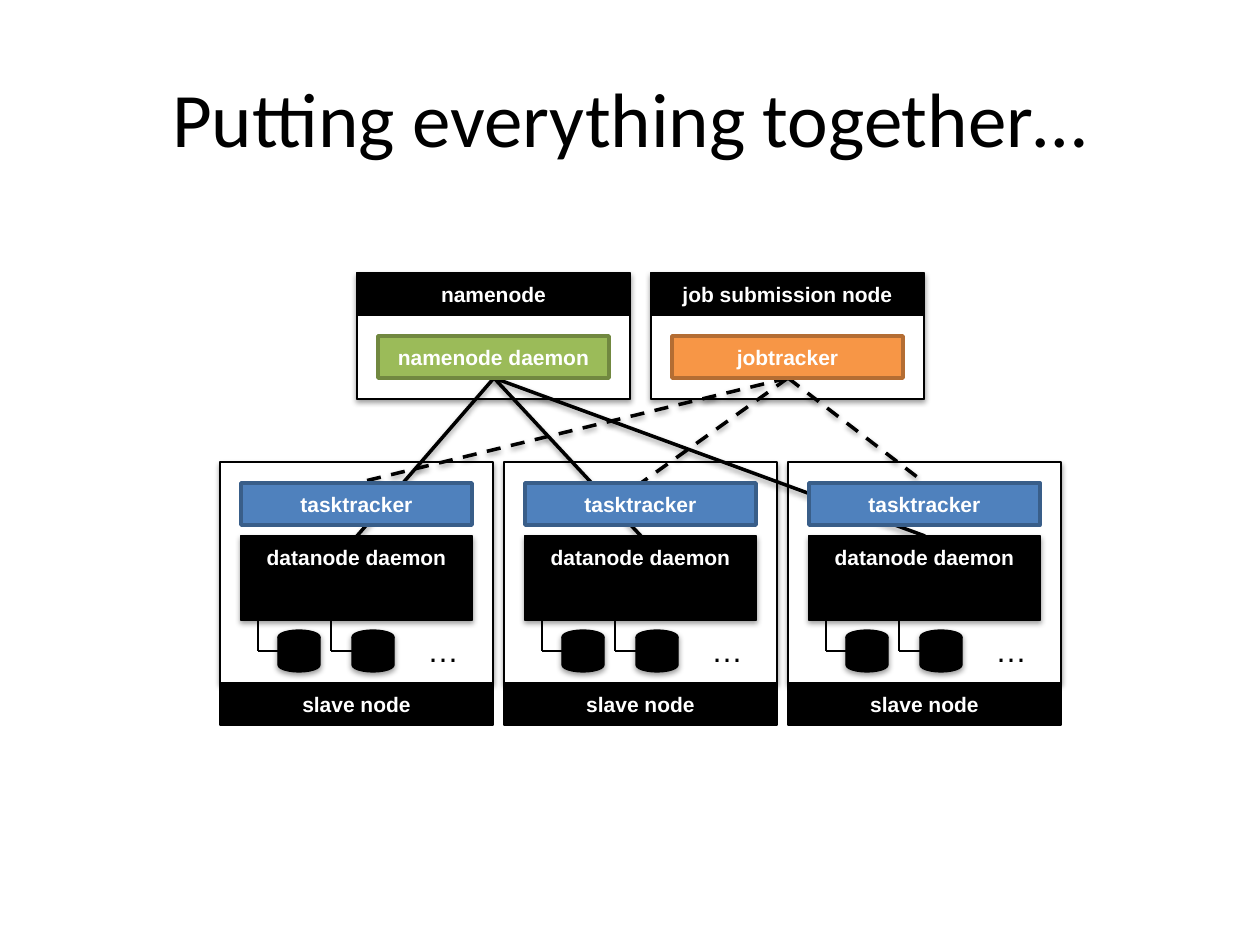
from lxml import etree
from pptx import Presentation
from pptx import util as u
from pptx.dml import color
from pptx.enum import dml, shapes, text
from pptx.oxml import ns

PIXEL = 914400 / 126
COLORS = {
    "black": "000000", "white": "FFFFFF",
    "green": "9BBB59", "green edge": "718840",
    "orange": "F79646", "orange edge": "B46D33",
    "blue": "4F81BD", "blue edge": "395E89",
}
RECT = shapes.MSO_SHAPE.RECTANGLE
DISK = shapes.MSO_SHAPE.FLOWCHART_MAGNETIC_DISK

presentation = Presentation()
presentation.slide_width, presentation.slide_height = u.Inches(10), u.Inches(7.5)
slide = presentation.slides.add_slide(presentation.slide_layouts[6])


def finish(shape, edge="black", weight=0.75, shadow=False):
    """Set the outline, then an empty effect list or a soft drop shadow."""
    shape.line.color.rgb = color.RGBColor.from_string(COLORS[edge])
    shape.line.width = u.Pt(weight)
    properties = shape._element.spPr
    effects = etree.SubElement(properties, ns.qn("a:effectLst"))
    if shadow:
        outer = etree.SubElement(effects, ns.qn("a:outerShdw"), blurRad="40000",
                                 dist="20000", dir="5400000", rotWithShape="0")
        tint = etree.SubElement(outer, ns.qn("a:srgbClr"), val=COLORS["black"])
        etree.SubElement(tint, ns.qn("a:alpha"), val="38000")


def add_box(left, top, width, height, fill=None, label="", kind=RECT, **outline):
    box = [round(value * PIXEL) for value in (left, top, width, height)]
    shape = slide.shapes.add_shape(kind, *box)
    if fill:
        shape.fill.solid()
        shape.fill.fore_color.rgb = color.RGBColor.from_string(COLORS[fill])
    else:
        shape.fill.background()
    finish(shape, **outline)
    if label:
        frame = shape.text_frame
        frame.word_wrap = True
        frame.vertical_anchor = text.MSO_ANCHOR.MIDDLE
        paragraph = frame.paragraphs[0]
        paragraph.alignment = text.PP_ALIGN.CENTER
        run = paragraph.add_run()
        run.text = label
        run.font.name, run.font.size, run.font.bold = "Arial", u.Pt(12), True
        run.font.color.rgb = color.RGBColor.from_string(COLORS["white"])


# Grid
NODE_WIDTH, INNER_WIDTH, MARGIN, BAR = 273, 231, 21, 42
MASTER_TOP, SLAVE_TOP = 273, 462
TASK_TOP, DATA_TOP, DATA_BOTTOM, DISK_TOP, FOOT_TOP = 483, 536, 620, 630, 683
slave_lefts = [220 + 284 * index for index in range(3)]
masters = [
    (357, "namenode", "namenode daemon", "green"),
    (651, "job submission node", "jobtracker", "orange"),
]

# Node backgrounds
for left, *_ in masters:
    add_box(left, MASTER_TOP, NODE_WIDTH, 3 * BAR, "white", shadow=True)
for left in slave_lefts:
    add_box(left, SLAVE_TOP, NODE_WIDTH, FOOT_TOP - SLAVE_TOP, "white", shadow=True)

# Links from each master daemon to every slave, then the wires to the disks
links = []
for (master_left, *_), end_top, dash in zip(
        masters, (DATA_TOP, TASK_TOP), (None, dml.MSO_LINE.DASH)):
    for left in slave_lefts:
        links.append((master_left + 137, 378, left + 137, end_top, 2, dash))
for left in slave_lefts:
    for wire, disk in ((38, 58), (111, 132)):
        links.append((left + wire, DATA_BOTTOM, left + wire, 651, 0.75, None))
        links.append((left + wire, 651, left + disk, 651, 0.75, None))
for *ends, weight, dash in links:
    points = [round(value * PIXEL) for value in ends]
    line = slide.shapes.add_connector(shapes.MSO_CONNECTOR.STRAIGHT, *points)
    if dash:
        line.line.dash_style = dash
    finish(line, weight=weight, shadow=weight == 2)

# Slave nodes
for left in slave_lefts:
    inner = left + MARGIN
    add_box(inner, DATA_TOP, INNER_WIDTH, 2 * BAR, "black", shadow=True)
    add_box(inner, DATA_TOP, INNER_WIDTH, BAR, "black", "datanode daemon")
    add_box(inner, DATA_TOP + BAR, INNER_WIDTH, BAR)
    for disk in (58, 132):
        add_box(left + disk, DISK_TOP, BAR, BAR, "black", kind=DISK, shadow=True)
    add_box(inner, TASK_TOP, INNER_WIDTH, BAR, "blue", "tasktracker",
            edge="blue edge", weight=2)
    add_box(left, FOOT_TOP, NODE_WIDTH, BAR, "black", "slave node")

# Master nodes
for left, name, daemon, fill in masters:
    add_box(left, MASTER_TOP, NODE_WIDTH, BAR, "black", name)
    add_box(left, MASTER_TOP + BAR, NODE_WIDTH, 2 * BAR)
    add_box(left + MARGIN, 336, INNER_WIDTH, BAR, fill, daemon,
            edge=fill + " edge", weight=2)

# Title and the ellipsis beside each row of disks
captions = [(63, 38, 1134, 158, "Putting everything together…", "Calibri", 44,
             text.PP_ALIGN.CENTER, text.MSO_ANCHOR.MIDDLE)]
for left in slave_lefts:
    captions.append((left + 195, 625, 57, 50, "…", "Arial", 18,
                     text.PP_ALIGN.LEFT, text.MSO_ANCHOR.TOP))
for *box, words, font, size, alignment, anchor in captions:
    shape = slide.shapes.add_textbox(*[round(value * PIXEL) for value in box])
    frame = shape.text_frame
    frame.word_wrap = True
    frame.vertical_anchor = anchor
    paragraph = frame.paragraphs[0]
    paragraph.alignment = alignment
    run = paragraph.add_run()
    run.text = words
    run.font.name, run.font.size = font, u.Pt(size)
    run.font.color.rgb = color.RGBColor.from_string(COLORS["black"])

presentation.save("out.pptx")
